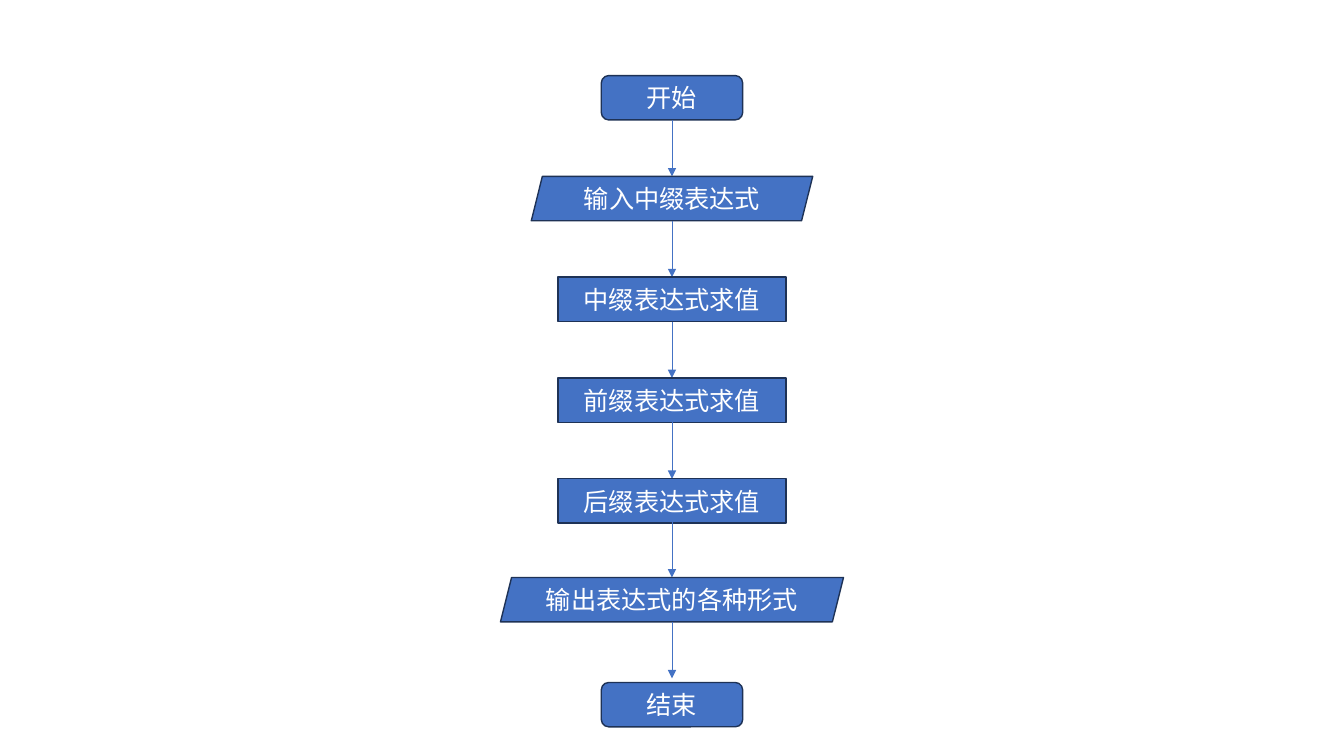
from lxml import etree
from pptx import Presentation
from pptx.dml.color import RGBColor
from pptx.enum.shapes import MSO_CONNECTOR as CONN, MSO_SHAPE as SHAPE
from pptx.enum.text import MSO_ANCHOR as ANCHOR, PP_ALIGN as ALIGN
from pptx.oxml.ns import qn
from pptx.util import Pt

FONT = "Noto Sans CJK SC"
BLUE, NAVY, WHITE = "4472C4", "1E3256", "FFFFFF"
CENTER = 480
STEP_H = 31.7
ARROW_LEN = 40.3

# Shape, text, width, top, space between arrow tip and step
STEPS = [
    (SHAPE.ROUNDED_RECTANGLE, "开始", 101, 54, 0),
    (SHAPE.PARALLELOGRAM, "输入中缀表达式", 201, 126, 0),
    (SHAPE.RECTANGLE, "中缀表达式求值", 163, 198, 0),
    (SHAPE.RECTANGLE, "前缀表达式求值", 163, 270, 0),
    (SHAPE.RECTANGLE, "后缀表达式求值", 163, 342, 0),
    (SHAPE.PARALLELOGRAM, "输出表达式的各种形式", 245, 412.5, 0),
    (SHAPE.ROUNDED_RECTANGLE, "结束", 101, 487.5, 3),
]


def color(value):
    return RGBColor.from_string(value)


def set_line(line, value, width):
    line.color.rgb = color(value)
    line.width = Pt(width)


def add_step(shapes, kind, text, width, top):
    sp = shapes.add_shape(kind, Pt(CENTER - width / 2), Pt(top), Pt(width), Pt(STEP_H))
    sp.shadow.inherit = False
    sp.fill.solid()
    sp.fill.fore_color.rgb = color(BLUE)
    set_line(sp.line, NAVY, 1)

    # Centred label
    tf = sp.text_frame
    tf.word_wrap = True
    tf.vertical_anchor = ANCHOR.MIDDLE
    p = tf.paragraphs[0]
    p.alignment = ALIGN.CENTER
    r = p.add_run()
    r.text = text
    for name, value in {"name": FONT, "size": Pt(18)}.items():
        setattr(r.font, name, value)
    r.font.color.rgb = color(WHITE)
    ea = etree.SubElement(r.font._element, qn("a:ea"))
    ea.set("typeface", FONT)


def add_arrow(shapes, tip):
    cx = shapes.add_connector(
        CONN.STRAIGHT, Pt(CENTER), Pt(tip - ARROW_LEN), Pt(CENTER), Pt(tip))
    set_line(cx.line, BLUE, 0.5)
    head = etree.SubElement(cx.line._get_or_add_ln(), qn("a:tailEnd"))
    head.set("type", "triangle")
    etree.SubElement(cx._element.spPr, qn("a:effectLst"))


def main():
    prs = Presentation()
    prs.slide_width, prs.slide_height = Pt(960), Pt(540)
    s = prs.slides.add_slide(prs.slide_layouts[6])

    # Flowchart: an arrow leads to every step but the first
    shapes = s.shapes.add_group_shape().shapes
    for i, (kind, text, width, top, gap) in enumerate(STEPS):
        if i:
            add_arrow(shapes, top - gap)
        add_step(shapes, kind, text, width, top)

    prs.save("out.pptx")


if __name__ == "__main__":
    main()
